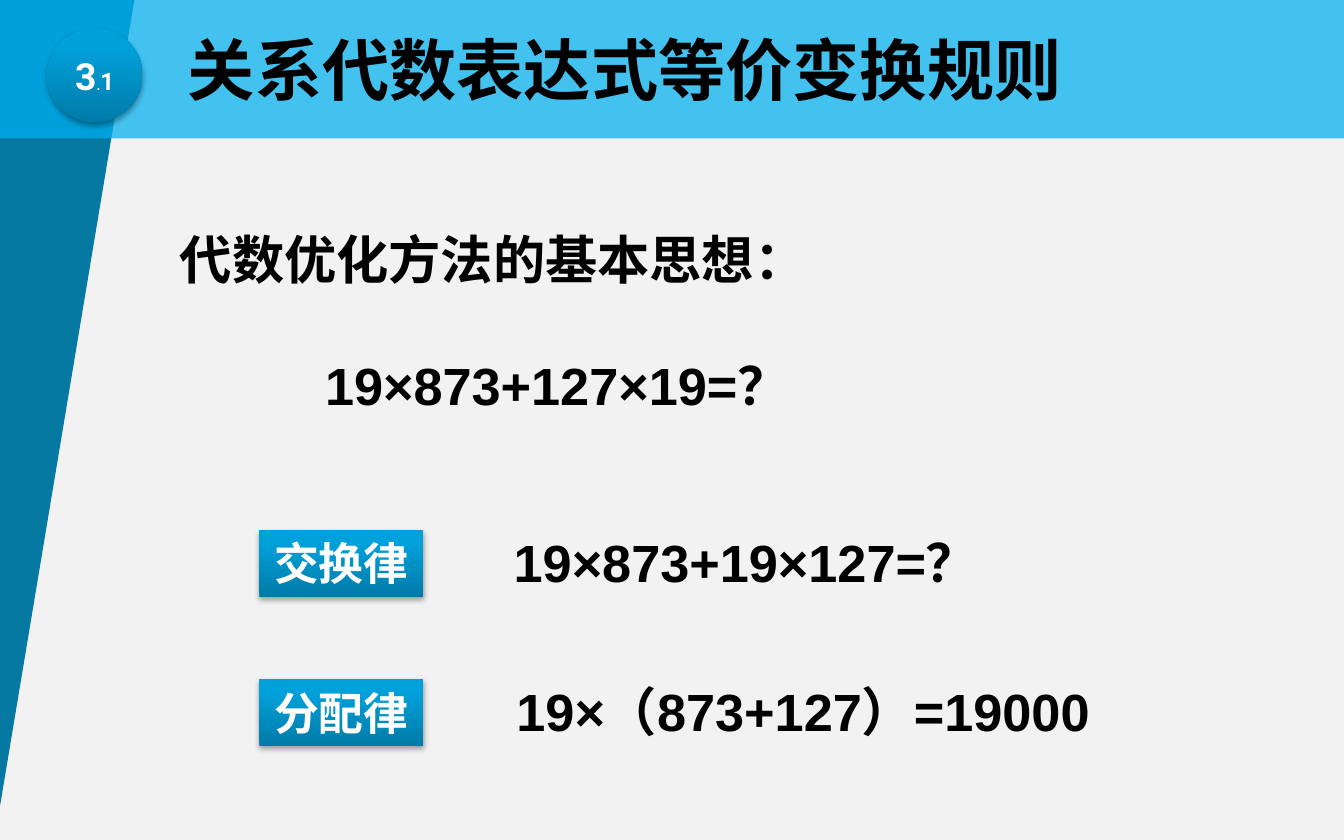
from lxml import etree
from pptx import Presentation
from pptx.dml.color import RGBColor
from pptx.enum.shapes import MSO_SHAPE
from pptx.enum.text import MSO_ANCHOR, MSO_AUTO_SIZE, PP_ALIGN
from pptx.oxml import parse_xml
from pptx.oxml.ns import nsdecls
from pptx.util import Emu, Inches, Pt

RECTANGLE, OVAL = MSO_SHAPE.RECTANGLE, MSO_SHAPE.OVAL
TOP, MIDDLE = MSO_ANCHOR.TOP, MSO_ANCHOR.MIDDLE
LEFT, CENTER = PP_ALIGN.LEFT, PP_ALIGN.CENTER
GROW, FIXED = MSO_AUTO_SIZE.SHAPE_TO_FIT_TEXT, MSO_AUTO_SIZE.NONE

BACKGROUND = RGBColor(0xF2, 0xF2, 0xF2)
SIDE_BLUE = RGBColor(0x06, 0x79, 0xA3)
BAND_BLUE = RGBColor(0x00, 0xB0, 0xF0)
BLACK = RGBColor(0, 0, 0)
WHITE = RGBColor(0xFF, 0xFF, 0xFF)
GRADIENT = [(0, RGBColor(0x00, 0x7B, 0xA8)), (80, RGBColor(0x00, 0xA0, 0xDA)),
            (100, RGBColor(0x00, 0xA0, 0xDB))]

WIDTH, HEIGHT = 10, 6.25
BAND_HEIGHT, BAND_OPACITY = 1.03, 72
SIDE_OUTLINE = [(0, 0), (1.3, 0), (0.31, HEIGHT), (0, HEIGHT)]

TITLE = "关系代数表达式等价变换规则"
SECTION = [("3", 20), (".", 7), ("1", 13)]
IDEA = "代数优化方法的基本思想："
QUESTION = "19×873+127×19=？"
LAWS = [
    ("交换律", "19×873+19×127=？", 3.35, 4.4),
    ("分配律", "19×（873+127）=19000", 3.41, 5.13),
]
LAW_LEFT, LAW_TOP, LAW_PITCH = 1.93, 3.94, 1.11
LAW_WIDTH, LAW_HEIGHT = 1.22, 0.5
FORMULA_HEIGHT, FORMULA_RISE = 0.57, 0.045


def write(shape, paragraphs, size=28, font="Arial", color=BLACK, align=LEFT,
          anchor=TOP, wrap=True, fit=GROW):
    """Fill a shape with paragraphs given as lists of (text, size) runs."""
    frame = shape.text_frame
    frame.word_wrap, frame.auto_size, frame.vertical_anchor = wrap, fit, anchor
    if isinstance(paragraphs, str):
        paragraphs = [[(paragraphs, size)]]
    for index, runs in enumerate(paragraphs):
        paragraph = frame.add_paragraph() if index else frame.paragraphs[0]
        paragraph.alignment = align
        for text, run_size in runs:
            run = paragraph.add_run()
            run.text = text
            run.font.size, run.font.name = Pt(run_size), font
            run.font.bold, run.font.color.rgb = True, color
    return frame


def textbox(slide, box):
    return slide.shapes.add_textbox(*map(Inches, box))


def set_plain(shape, color):
    shape.shadow.inherit = False
    shape.line.fill.background()
    shape.fill.solid()
    shape.fill.fore_color.rgb = color


def add_glossy(slide, kind, box):
    shape = slide.shapes.add_shape(kind, *map(Inches, box))
    set_plain(shape, GRADIENT[0][1])
    properties = shape.element.spPr
    stops = "".join(f'<a:gs pos="{share * 1000}"><a:srgbClr val="{color}"/></a:gs>'
                    for share, color in GRADIENT)
    properties.replace(properties.find("{*}solidFill"), parse_xml(
        f'<a:gradFill {nsdecls("a")} rotWithShape="1"><a:gsLst>{stops}</a:gsLst>'
        '<a:lin ang="16200000" scaled="0"/></a:gradFill>'))
    properties.find("{*}effectLst").append(parse_xml(
        f'<a:outerShdw {nsdecls("a")} blurRad="{Pt(3.1)}" dist="{Pt(1.8)}" '
        'dir="5400000" rotWithShape="0"><a:srgbClr val="000000">'
        '<a:alpha val="35000"/></a:srgbClr></a:outerShdw>'))
    return shape


def add_frame(slide):
    builder = slide.shapes.build_freeform(*SIDE_OUTLINE[0], scale=Emu(Inches(1)))
    builder.add_line_segments(SIDE_OUTLINE[1:], close=True)
    set_plain(builder.convert_to_shape(), SIDE_BLUE)
    band = slide.shapes.add_shape(RECTANGLE, 0, 0, Inches(WIDTH), Inches(BAND_HEIGHT))
    set_plain(band, BAND_BLUE)
    color = band.element.spPr.find("{*}solidFill")[0]
    etree.SubElement(color, color.tag.replace("srgbClr", "alpha"),
                     val=str(BAND_OPACITY * 1000))


def main():
    deck = Presentation()
    deck.slide_width, deck.slide_height = Inches(WIDTH), Inches(HEIGHT)
    slide = deck.slides.add_slide(deck.slide_layouts[6])
    slide.background.fill.solid()
    slide.background.fill.fore_color.rgb = BACKGROUND
    add_frame(slide)

    idea = write(textbox(slide, (1.24, 1.64, 7.29, 1.51)),
                 [[(IDEA, 28)], [(QUESTION, 28)]])
    question = idea.paragraphs[1]
    question.space_before = Pt(34)
    question._p.get_or_add_pPr().set("marL", str(Inches(1.08)))

    for row, (law, formula, left, width) in enumerate(LAWS):
        top = LAW_TOP + row * LAW_PITCH
        label = add_glossy(slide, RECTANGLE, (LAW_LEFT, top, LAW_WIDTH, LAW_HEIGHT))
        write(label, law, size=24, font="Roboto", color=WHITE, align=CENTER, wrap=False)
        write(textbox(slide, (left, top - FORMULA_RISE, width, FORMULA_HEIGHT)),
              formula, align=CENTER, wrap=False)

    write(textbox(slide, (1.3, 0.01, 6.77, 1)), TITLE, size=36, anchor=MIDDLE, fit=FIXED)
    badge = add_glossy(slide, OVAL, (0.35, 0.21, 0.71, 0.7))
    write(badge, [SECTION], font="Roboto", color=WHITE, align=CENTER,
          anchor=MIDDLE, wrap=False, fit=FIXED)
    deck.save("out.pptx")


if __name__ == "__main__":
    main()
